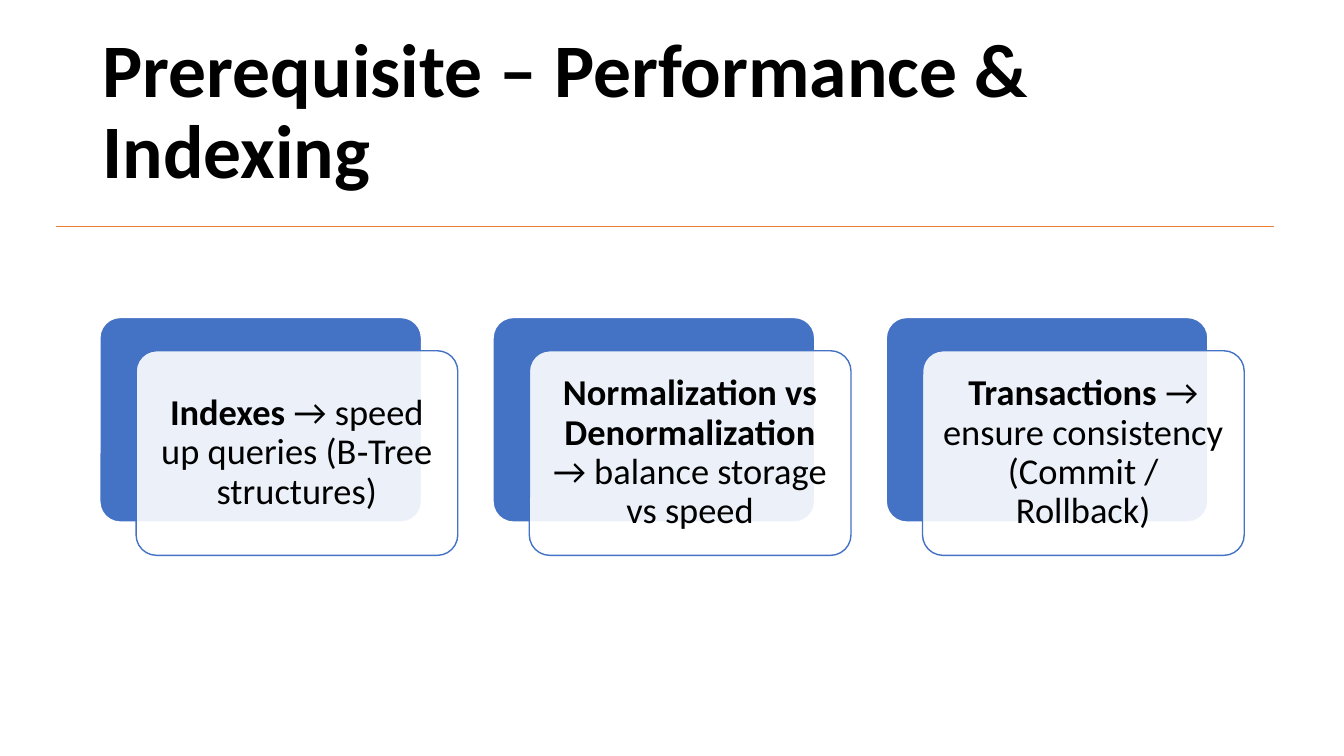
"""Build the Performance & Indexing prerequisite slide."""
import dataclasses

import lxml.etree
import pptx
import pptx.dml.color
import pptx.enum.shapes
import pptx.enum.text
import pptx.oxml.ns
import pptx.util

EMU_PER_PX = 9144
FONT = "Calibri"
COLORS = {"text": "000000", "blue": "4472C4", "white": "FFFFFF", "rule": "ED7D31"}
CARD_LEFT, CARD_TOP, CARD_PITCH = 99, 315, 390
CARD_W, CARD_H = 319, 203
FRONT_DX, FRONT_DY, TEXT_PAD = 36, 33, 6


@dataclasses.dataclass(frozen=True)
class Card:
    term: str
    detail: str


CARDS = [
    Card("Indexes", " → speed up queries (B‑Tree structures)"),
    Card("Normalization vs Denormalization", " → balance storage vs speed"),
    Card("Transactions", " → ensure consistency (Commit / Rollback)"),
]


def px(n: int) -> pptx.util.Emu:
    return pptx.util.Emu(n * EMU_PER_PX)


def rgb(name: str) -> pptx.dml.color.RGBColor:
    return pptx.dml.color.RGBColor.from_string(COLORS[name])


def add_text(s, box: tuple[int, int, int, int], bold: str, plain: str = "", *,
             size: int, inset: tuple[int, int] = (10, 5),
             align=pptx.enum.text.PP_ALIGN.LEFT) -> None:
    tf = s.shapes.add_textbox(*map(px, box)).text_frame
    tf.word_wrap = True
    tf.vertical_anchor = pptx.enum.text.MSO_ANCHOR.MIDDLE
    tf.margin_left = tf.margin_right = px(inset[0])
    tf.margin_top = tf.margin_bottom = px(inset[1])
    p = tf.paragraphs[0]
    p.alignment = align
    p.line_spacing = 0.9
    for text, is_bold in ((bold, True), (plain, False)):
        if text:
            r = p.add_run()
            r.text = text
            r.font.name = FONT
            r.font.size = pptx.util.Pt(size)
            r.font.bold = is_bold
            r.font.color.rgb = rgb("text")


def add_panel(s, left: int, top: int, fill: str, line: str, opacity: int = 100) -> None:
    sp = s.shapes.add_shape(pptx.enum.shapes.MSO_SHAPE.ROUNDED_RECTANGLE,
                            px(left), px(top), px(CARD_W), px(CARD_H))
    sp.adjustments[0] = 0.1
    sp.shadow.inherit = False
    sp.fill.solid()
    sp.fill.fore_color.rgb = rgb(fill)
    sp.line.color.rgb = rgb(line)
    sp.line.width = pptx.util.Pt(1)
    if opacity < 100:
        qn = pptx.oxml.ns.qn
        color = sp.fill._xPr.find(qn("a:solidFill")).find(qn("a:srgbClr"))
        lxml.etree.SubElement(color, qn("a:alpha"), val=str(opacity * 1000))


def add_card(s, card: Card, left: int) -> None:
    front_left, front_top = left + FRONT_DX, CARD_TOP + FRONT_DY
    add_panel(s, left, CARD_TOP, "blue", "white")
    add_panel(s, front_left, front_top, "white", "blue", opacity=90)
    box = (front_left + TEXT_PAD, front_top + TEXT_PAD,
           CARD_W - 2 * TEXT_PAD, CARD_H - 2 * TEXT_PAD)
    add_text(s, box, card.term, card.detail, size=26, inset=(11, 11),
             align=pptx.enum.text.PP_ALIGN.CENTER)


def add_rule(s, left: int, right: int, y: int) -> None:
    rule = s.shapes.add_connector(pptx.enum.shapes.MSO_CONNECTOR.STRAIGHT,
                                  px(left), px(y), px(right), px(y))
    rule.line.color.rgb = rgb("rule")
    rule.line.width = pptx.util.Pt(0.5)
    lxml.etree.SubElement(rule._element.spPr, pptx.oxml.ns.qn("a:effectLst"))


def main() -> None:
    prs = pptx.Presentation()
    prs.slide_width, prs.slide_height = px(1333), px(750)
    s = prs.slides.add_slide(prs.slide_layouts[6])
    add_text(s, (92, 40, 1150, 145), "Prerequisite – Performance & Indexing", size=54)
    for i, card in enumerate(CARDS):
        add_card(s, card, CARD_LEFT + i * CARD_PITCH)
    add_rule(s, 56, 1264, 225)
    prs.save("out.pptx")


if __name__ == "__main__":
    main()
